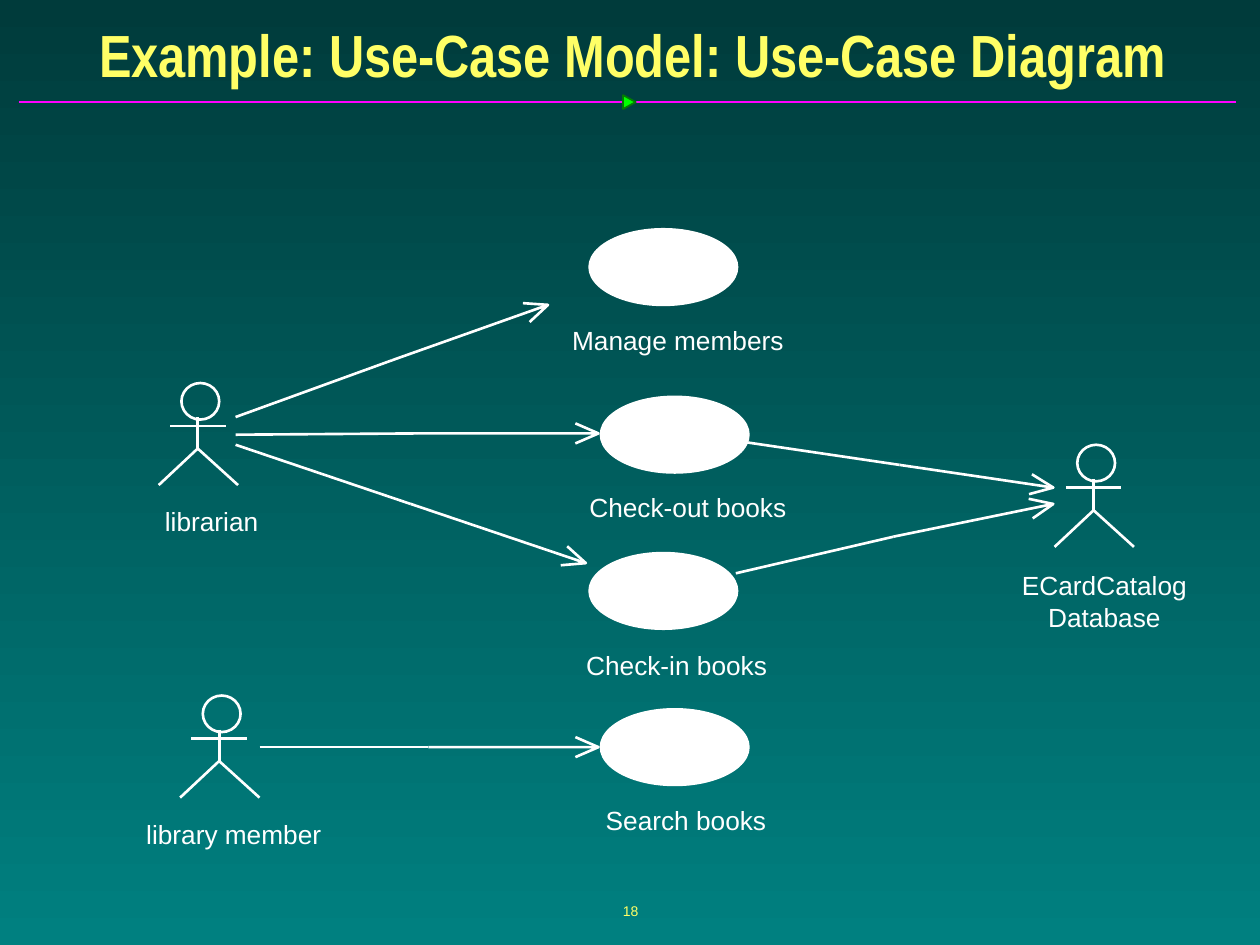
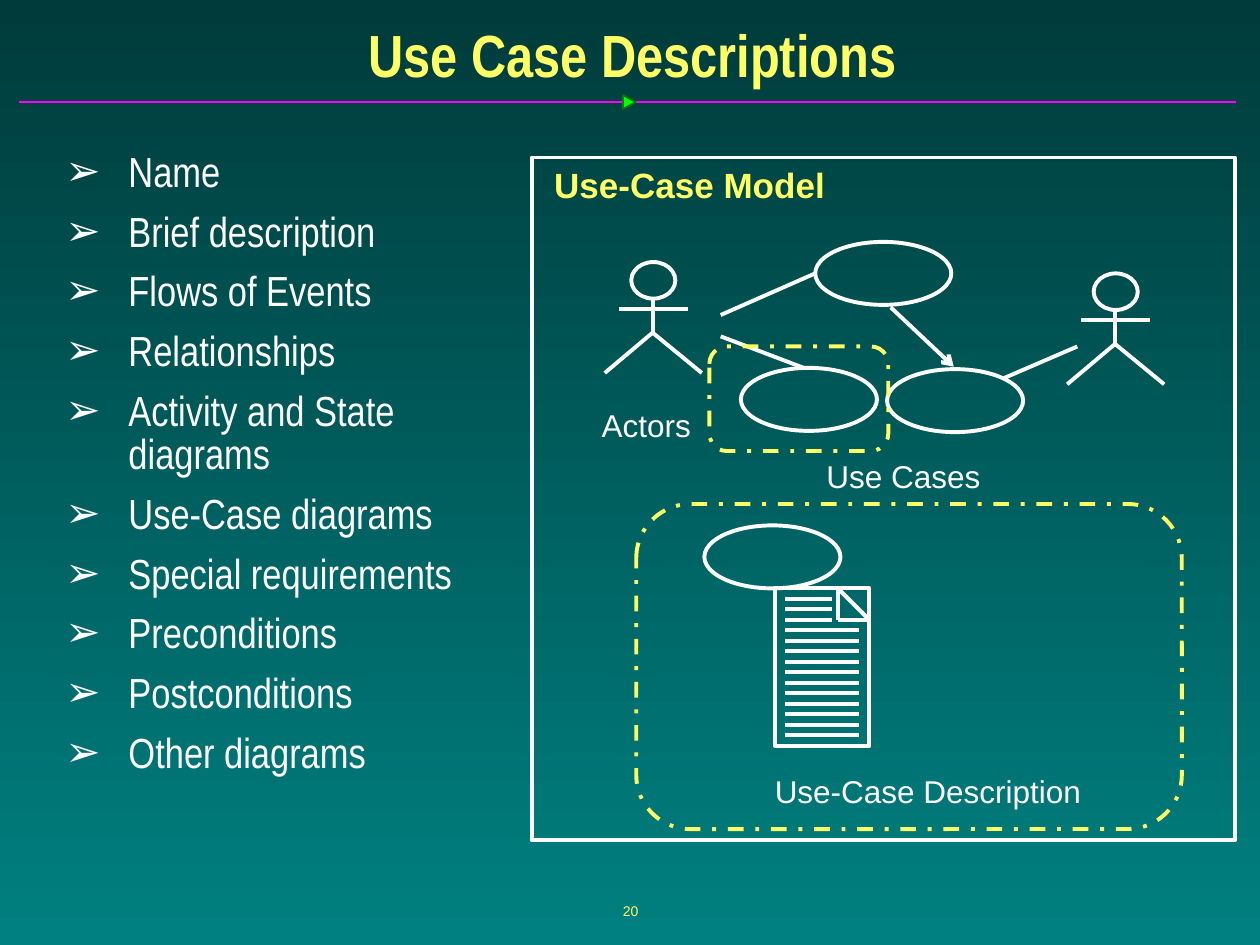
"""Build two slides on use-case models: a diagram and a list of description parts."""
import math
from dataclasses import dataclass
from typing import NamedTuple

from lxml import etree
from pptx import Presentation, util as u
from pptx.dml.color import RGBColor
from pptx.enum import dml, shapes, text
from pptx.oxml.ns import qn

WHITE, YELLOW = "FFFFFF", "FFFF66"
TOP, BASE = "003B3B", "008080"
RULE, MARK, EDGE = "FF01FF", "00FF00", "037C03"
SANS, SLIM = "Arial", "Arial Narrow"
THIN, BOLD = 1.5, 2.25
LEFT, MID = text.PP_ALIGN.LEFT, text.PP_ALIGN.CENTER
KIND = shapes.MSO_SHAPE


class Box(NamedTuple):
    x: float
    y: float
    w: float
    h: float


class Dot(NamedTuple):
    x: float
    y: float


class Case(NamedTuple):
    oval: Dot
    name: str
    label: Box


class Label(NamedTuple):
    name: str
    box: Box


@dataclass(frozen=True)
class Build:
    """Proportions of a stick figure, measured from the corner of its head."""
    head: float
    spine: float
    neck: float
    arm: float
    hip: float
    foot: float
    hands: tuple[float, float]
    feet: tuple[float, float]
    weight: float


SMALL = Build(0.3, 0.13, 0.27, 0.34, 0.52, 0.81, (-0.09, 0.35), (-0.18, 0.45), THIN)
LARGE = Build(0.35, 0.17, 0.29, 0.37, 0.56, 0.88, (-0.1, 0.45), (-0.21, 0.56), BOLD)

CASES = [
    Case(Dot(4.68, 1.82), "Manage members", Box(4.54, 2.57, 1.68, 0.25)),
    Case(Dot(4.77, 3.15), "Check-out books", Box(4.68, 3.9, 1.56, 0.25)),
    Case(Dot(4.68, 4.39), "Check-in books", Box(4.65, 5.15, 1.44, 0.25)),
    Case(Dot(4.77, 5.63), "Search books", Box(4.81, 6.38, 1.27, 0.25)),
]
ACTORS = [
    Case(Dot(1.44, 3.04), "librarian", Box(1.31, 4.01, 0.74, 0.25)),
    Case(Dot(1.61, 5.52), "library member", Box(1.16, 6.49, 1.39, 0.25)),
    Case(Dot(8.55, 3.53), "ECardCatalog\nDatabase", Box(8.11, 4.52, 1.31, 0.49)),
]
ARROWS = [
    (Dot(1.87, 3.31), Dot(3.11, 2.86), Dot(4.35, 2.42)),
    (Dot(1.87, 3.45), Dot(3.31, 3.44), Dot(4.75, 3.44)),
    (Dot(1.87, 3.53), Dot(3.26, 4), Dot(4.65, 4.47)),
    (Dot(2.06, 5.93), Dot(3.4, 5.93), Dot(4.75, 5.93)),
    (Dot(5.92, 3.51), Dot(7.14, 3.69), Dot(8.36, 3.87)),
    (Dot(5.84, 4.55), Dot(7.09, 4.26), Dot(8.36, 4)),
]
PARTS = [
    "Name", "Brief description", "Flows of Events", "Relationships",
    "Activity and State\ndiagrams", "Use-Case diagrams",
    "Special requirements", "Preconditions", "Postconditions", "Other diagrams",
]
OVALS = [Dot(6.47, 1.92), Dot(5.88, 2.92), Dot(7.04, 2.93), Dot(5.59, 4.17)]
LINKS = [
    (Dot(5.72, 2.5), Dot(6.47, 2.17)),
    (Dot(5.72, 2.67), Dot(6.38, 2.92)),
    (Dot(7.97, 3), Dot(8.55, 2.75)),
]
LABELS = [
    Label("Use-Case Description", Box(6.05, 6.08, 2.63, 0.4)),
    Label("Actors", Box(4.63, 3.17, 1, 0.4)),
    Label("Use Cases", Box(6.38, 3.58, 1.58, 0.4)),
]
FRAMES = [Box(5.05, 4, 4.33, 2.58), Box(5.63, 2.75, 1.42, 0.83)]


def tint(code: str) -> RGBColor:
    """Turn a hex string into a colour."""
    return RGBColor.from_string(code)


def inch(*nums: float) -> list[u.Length]:
    """Turn numbers into lengths."""
    return [u.Inches(n) for n in nums]


def write(frame, *items: str, size: float = 18, font: str = SANS, color: str = WHITE,
          bold: bool = False, align=MID, anchor=text.MSO_ANCHOR.TOP,
          pad: tuple[float, float] = (0.1, 0.05), wrap: bool = True,
          gap: float = 0, pitch: float = 1, bullet: str = "") -> None:
    """Fill a text frame, one paragraph for each item."""
    frame.auto_size = text.MSO_AUTO_SIZE.NONE
    frame.word_wrap, frame.vertical_anchor = wrap, anchor
    frame.margin_left, frame.margin_top = inch(*pad)
    frame.margin_right, frame.margin_bottom = inch(*pad)
    for i, item in enumerate(items):
        para = frame.add_paragraph() if i else frame.paragraphs[0]
        para.text = item
        para.alignment, para.line_spacing = align, pitch
        para.space_before = u.Pt(gap if i else 0)
        if bullet:
            mark(para, bullet, color)
        for face in [para.font] + [run.font for run in para.runs]:
            face.size, face.name, face.bold = u.Pt(size), font, bold
            face.color.rgb = tint(color)


def mark(para, sign: str, color: str) -> None:
    """Give a paragraph a hanging bullet."""
    props = para._p.get_or_add_pPr()
    props.set("marL", str(u.Inches(0.5)))
    props.set("indent", str(-u.Inches(0.5)))
    shade = etree.SubElement(props, qn("a:buClr"))
    etree.SubElement(shade, qn("a:srgbClr"), val=color)
    etree.SubElement(props, qn("a:buFont"), typeface=SANS)
    etree.SubElement(props, qn("a:buChar"), char=sign)


def note(slide, words: str, box: Box, **style) -> None:
    """Add a text box."""
    write(slide.shapes.add_textbox(*inch(*box)).text_frame, words, **style)


def shape(slide, kind, box: Box, weight: float, fill: str = "", edge: str = WHITE):
    """Add an outlined preset shape, hollow unless a fill is given."""
    item = slide.shapes.add_shape(kind, *inch(*box))
    return ink(item, weight, fill, edge)


def ink(item, weight: float, fill: str = "", edge: str = WHITE):
    """Set the fill and outline of a shape."""
    item.shadow.inherit = False
    if fill:
        item.fill.solid()
        item.fill.fore_color.rgb = tint(fill)
    else:
        item.fill.background()
    item.line.color.rgb, item.line.width = tint(edge), u.Pt(weight)
    return item


def line(slide, start: Dot, end: Dot, weight: float, color: str = WHITE, tip: bool = False) -> None:
    """Add a straight line, with an open arrowhead at its end if asked."""
    item = slide.shapes.add_connector(shapes.MSO_CONNECTOR.STRAIGHT, *inch(*start, *end))
    item.line.color.rgb, item.line.width = tint(color), u.Pt(weight)
    props = item._element.spPr
    if tip:
        etree.SubElement(props.find(qn("a:ln")), qn("a:tailEnd"), type="arrow")
    etree.SubElement(props, qn("a:effectLst"))


def bend(slide, dots: list[Dot], weight: float) -> None:
    """Add an open outline through the dots."""
    pen = slide.shapes.build_freeform(*inch(*dots[0]))
    pen.add_line_segments([inch(*dot) for dot in dots[1:]], close=False)
    ink(pen.convert_to_shape(), weight)


def arrow(slide, tail: Dot, knee: Dot, tip: Dot) -> None:
    """Add an arrow with a slight knee and two long barbs."""
    turn = math.atan2(tip.y - knee.y, tip.x - knee.x)
    barbs = [Dot(tip.x - 0.2 * math.cos(turn + side), tip.y - 0.2 * math.sin(turn + side))
             for side in (-0.41, 0.41)]
    line(slide, tail, knee, THIN)
    bend(slide, [knee, tip, barbs[0]], THIN)
    line(slide, tip, barbs[1], THIN)


def actor(slide, spot: Dot, form: Build) -> None:
    """Add a stick figure."""
    def at(dx: float, dy: float) -> Dot:
        """Shift from the corner of the head."""
        return Dot(spot.x + dx, spot.y + dy)

    shape(slide, KIND.OVAL, Box(*spot, form.head, 0.29), form.weight)
    hip = at(form.spine, form.hip)
    line(slide, at(form.spine, form.neck), hip, form.weight)
    line(slide, *[at(hand, form.arm) for hand in form.hands], form.weight)
    left, right = [at(foot, form.foot) for foot in form.feet]
    bend(slide, [left, hip, right], form.weight)


def page(slide, x: float, y: float) -> None:
    """Add a written page with a folded corner."""
    shape(slide, KIND.RECTANGLE, Box(x, y, 0.75, 1.25), BOLD)
    fold, low, side = Dot(x + 0.5, y), Dot(x + 0.5, y + 0.25), Dot(x + 0.75, y + 0.25)
    for start, end in [(fold, side), (fold, low), (side, low)]:
        line(slide, start, end, BOLD)
    for row in range(1, 15):
        level = y + row / 12
        end = x + (0.45 if row <= 3 else 0.67)
        line(slide, Dot(x + 0.08, level), Dot(end, level), BOLD)


def start(deck, title: str, number: int):
    """Add a slide with its title, rule and number."""
    slide = deck.slides.add_slide(deck.slide_layouts[5])
    line(slide, Dot(0.15, 0.81), Dot(9.81, 0.81), 1, RULE)
    wedge = shape(slide, KIND.ISOSCELES_TRIANGLE, Box(4.94, 0.76, 0.11, 0.1), 1, MARK, EDGE)
    wedge.rotation = 90
    note(slide, str(number), Box(3.42, 6.98, 3.17, 0.5), size=8, color=YELLOW,
         anchor=text.MSO_ANCHOR.MIDDLE)
    head = slide.shapes.title
    head.left, head.top, head.width, head.height = inch(0.1, 0.14, 9.84, 0.58)
    write(head.text_frame, title, size=34, font=SLIM, color=YELLOW, bold=True,
          anchor=text.MSO_ANCHOR.MIDDLE)
    return slide


def diagram(deck) -> None:
    """Build the use-case diagram."""
    slide = start(deck, "Example: Use-Case Model: Use-Case Diagram", 18)
    for case in CASES:
        shape(slide, KIND.OVAL, Box(*case.oval, 1.17, 0.6), THIN, WHITE)
    for who in ACTORS:
        actor(slide, who.oval, SMALL)
    for item in CASES + ACTORS:
        note(slide, item.name, item.label, size=15, pad=(0, 0), wrap=False)
    for route in ARROWS:
        arrow(slide, *route)


def detail(deck) -> None:
    """Build the list of parts beside the model."""
    slide = start(deck, "Use Case Descriptions", 20)
    body = slide.shapes.add_textbox(*inch(0.4, 1.15, 3.8, 5.52))
    write(body.text_frame, *PARTS, size=24, font=SLIM, align=LEFT, pad=(0.12, 0.06),
          gap=9, pitch=0.87, bullet="➢")
    shape(slide, KIND.RECTANGLE, Box(4.22, 1.25, 5.58, 5.42), BOLD)
    note(slide, "Use-Case Model", Box(4.3, 1.25, 2.42, 0.44), size=20, color=YELLOW,
         bold=True, align=LEFT)
    for spot in OVALS:
        shape(slide, KIND.OVAL, Box(*spot, 1.08, 0.5), BOLD)
    page(slide, 6.15, 4.67)
    for spot in (Dot(5.01, 2.08), Dot(8.68, 2.17)):
        actor(slide, spot, LARGE)
    for ends in LINKS:
        line(slide, *ends, BOLD)
    line(slide, Dot(7.07, 2.44), Dot(7.57, 2.91), BOLD, tip=True)
    for label in LABELS:
        note(slide, label.name, label.box, wrap=False)
    for box in FRAMES:
        frame = shape(slide, KIND.ROUNDED_RECTANGLE, box, BOLD, edge=YELLOW)
        frame.line.dash_style = dml.MSO_LINE.DASH_DOT


def main() -> None:
    """Build and save the deck."""
    deck = Presentation()
    deck.slide_width, deck.slide_height = inch(10, 7.5)
    fill = deck.slide_master.background.fill
    fill.gradient()
    fill.gradient_angle = 270
    for stop, code, place in zip(fill.gradient_stops, (TOP, BASE), (0, 1)):
        stop.color.rgb, stop.position = tint(code), place
    diagram(deck)
    detail(deck)
    deck.save("out.pptx")


if __name__ == "__main__":
    main()
